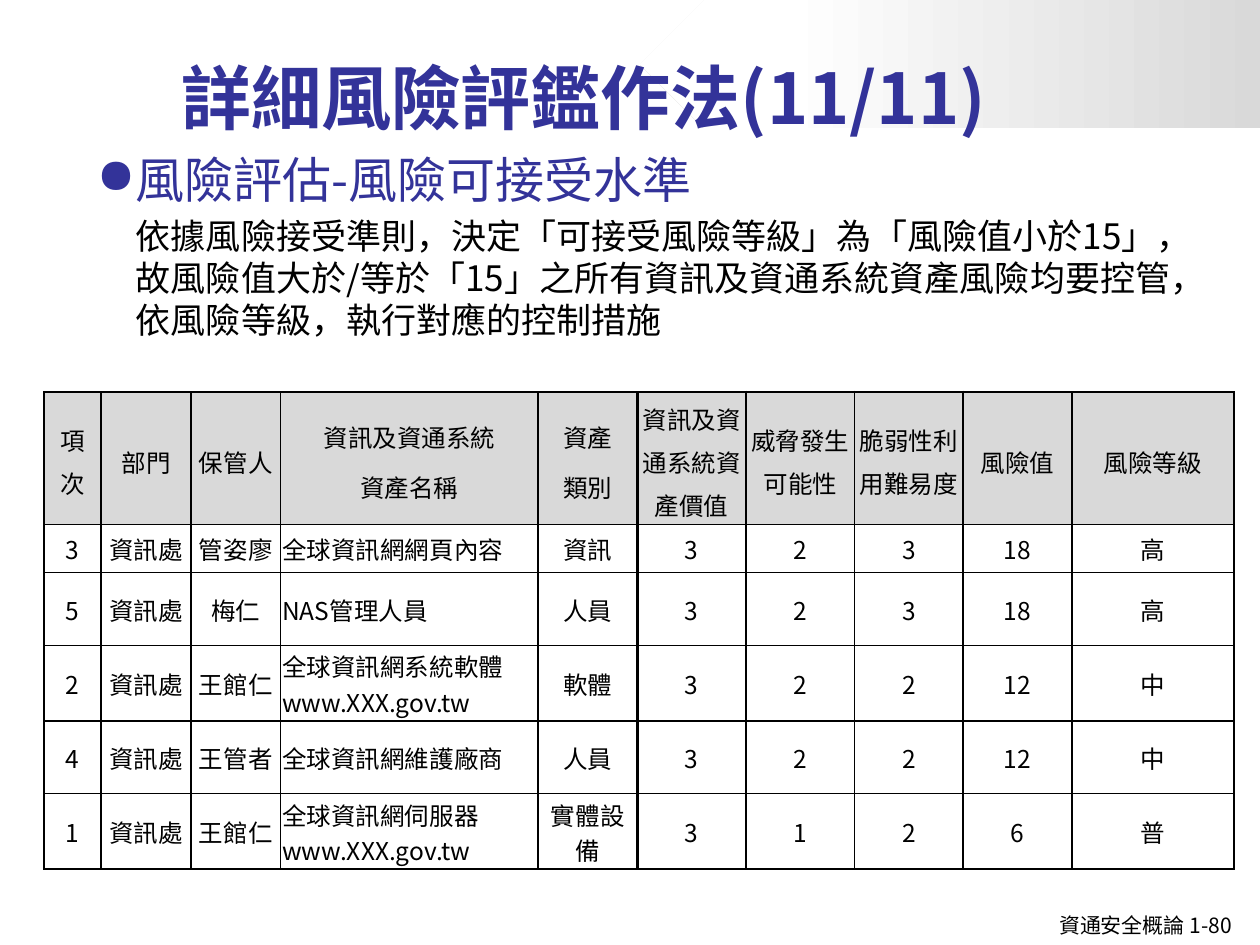
"""Build the slide on acceptable risk levels, with its risk assessment table."""
from lxml import etree
from pptx import Presentation
from pptx import util as u
from pptx.dml.color import RGBColor
from pptx.enum import shapes, text
from pptx.oxml.ns import qn

BLUE = RGBColor(0x33, 0x33, 0x99)
BLACK = RGBColor(0, 0, 0)
GREY = RGBColor(0xD9, 0xD9, 0xD9)
WHITE = RGBColor(0xFF, 0xFF, 0xFF)
SANS = "Noto Sans CJK SC"
HEADING = "Noto Sans CJK TC"
CENTER = text.PP_ALIGN.CENTER
MIDDLE = text.MSO_ANCHOR.MIDDLE


def write(para, words, size, color=BLACK, face=SANS, bold=False, **formats):
    for name, value in formats.items():
        setattr(para, name, value)
    span = para.add_run()
    span.text = words
    span.font.size = u.Pt(size)
    span.font.bold = bold
    span.font.color.rgb = color
    span.font.name = face
    etree.SubElement(span._r.get_or_add_rPr(), qn("a:ea"), typeface=face)


def draw_border(cell, side, points):
    properties = cell._tc.get_or_add_tcPr()
    line = etree.SubElement(properties, qn(f"a:ln{side}"), w=str(u.Pt(points)))
    fill = etree.SubElement(line, qn("a:solidFill"))
    etree.SubElement(fill, qn("a:srgbClr"), val=str(BLACK))


deck = Presentation()
deck.slide_width, deck.slide_height = u.Cm(25.4), u.Cm(19.05)
page = deck.slides.add_slide(deck.slide_layouts[5])

title = page.shapes.title
title_format = {"left": u.Cm(3.4), "top": u.Cm(0.33), "width": u.Cm(20.73), "height": u.Cm(2.59)}
for name, value in title_format.items():
    setattr(title, name, value)
title.text_frame.auto_size = text.MSO_AUTO_SIZE.NONE
title.text_frame.vertical_anchor = text.MSO_ANCHOR.BOTTOM
write(title.text_frame.paragraphs[0], "詳細風險評鑑作法(11/11)", 40, BLUE, HEADING, True,
      alignment=text.PP_ALIGN.LEFT)

plate = page.shapes.add_shape(shapes.MSO_SHAPE.PENTAGON, u.Cm(12.9), 0, u.Cm(12.5), u.Cm(2.59))
plate.shadow.inherit = False
plate.line.fill.background()
plate.fill.gradient()
plate.fill.gradient_angle = 0
for stop, color, position in zip(plate.fill.gradient_stops, (GREY, WHITE), (0, 0.77)):
    stop.color.rgb = color
    stop.position = position
plate.element.spPr.find(qn("a:xfrm")).set("flipH", "1")
title.element.addprevious(plate.element)

body = page.shapes.add_textbox(u.Cm(1.7), u.Cm(2.88), u.Cm(22.43), u.Cm(4.64)).text_frame
body.word_wrap = True
points = [
    ("風險評估-風險可接受水準", 28, BLUE, "●"),
    ("依據風險接受準則，決定「可接受風險等級」為「風險值小於15」，故風險值大於/等於「15」"
     "之所有資訊及資通系統資產風險均要控管，依風險等級，執行對應的控制措施", 20, BLACK, None),
]
for index, (words, size, color, bullet) in enumerate(points):
    para = body.add_paragraph() if index else body.paragraphs[0]
    properties = para._p.get_or_add_pPr()
    properties.set("marL", str(u.Cm(0.79)))
    properties.set("indent", str(-u.Cm(0.79) if bullet else 0))
    if bullet:
        etree.SubElement(properties, qn("a:buChar"), char=bullet)
    write(para, words, size, color, line_spacing=1.0,
          space_before=u.Pt(2 if index else 0), space_after=u.Pt(2))

headers = ["項次", "部門", "保管人", "資訊及資通系統\n資產名稱", "資產\n類別",
           "資訊及資通系統資產價值", "威脅發生可能性", "脆弱性利用難易度", "風險值", "風險等級"]
records = [
    ["3", "資訊處", "管姿廖", "全球資訊網網頁內容", "資訊", "3", "2", "3", "18", "高"],
    ["5", "資訊處", "梅仁", "NAS管理人員", "人員", "3", "2", "3", "18", "高"],
    ["2", "資訊處", "王館仁", "全球資訊網系統軟體www.XXX.gov.tw", "軟體", "3", "2", "2", "12", "中"],
    ["4", "資訊處", "王管者", "全球資訊網維護廠商", "人員", "3", "2", "2", "12", "中"],
    ["1", "資訊處", "王館仁", "全球資訊網伺服器www.XXX.gov.tw", "實體設備", "3", "1", "2", "6", "普"],
]
widths = [1.15, 1.81, 1.81, 5.19, 2] + [2.19] * 4 + [3.27]
heights = [2.67, 0.97, 1.47, 1.52, 1.47, 1.52]
name_column = 3
thick_edges = {5, 8, 9}
table = page.shapes.add_table(len(heights), len(widths), u.Cm(0.89), u.Cm(7.9),
                              u.Cm(sum(widths)), u.Cm(sum(heights))).table
table.first_row = table.horz_banding = False
for column, width in zip(table.columns, widths):
    column.width = u.Cm(width)
for row, height in zip(table.rows, heights):
    row.height = u.Cm(height)

for row_index, values in enumerate([headers] + records):
    is_header = row_index == 0
    side_margin = u.Cm(0.1 if is_header else 0.03)
    cell_format = {"vertical_anchor": MIDDLE, "margin_left": side_margin, "margin_right": side_margin,
                   "margin_top": u.Cm(0 if is_header else 0.03), "margin_bottom": 0}
    for column_index, words in enumerate(values):
        cell = table.cell(row_index, column_index)
        for name, value in cell_format.items():
            setattr(cell, name, value)
        borders = {"L": column_index in thick_edges, "R": column_index + 1 in thick_edges,
                   "T": is_header and 5 <= column_index <= 8, "B": False}
        for side, thick in borders.items():
            draw_border(cell, side, 1.5 if thick else 1)
        if is_header:
            cell.fill.solid()
            cell.fill.fore_color.rgb = GREY
        else:
            cell.fill.background()
        for index, line in enumerate(words.split("\n")):
            para = cell.text_frame.add_paragraph() if index else cell.text_frame.paragraphs[0]
            if is_header:
                write(para, line, 14, alignment=CENTER, line_spacing=1.2,
                      space_before=u.Pt(2 if index else 0), space_after=u.Pt(2))
            else:
                write(para, line, 14,
                      alignment=text.PP_ALIGN.LEFT if column_index == name_column else CENTER)

footer = page.shapes.add_textbox(u.Cm(21.1), u.Cm(18.28), u.Cm(4.3), u.Cm(0.77)).text_frame
footer.word_wrap = False
write(footer.paragraphs[0], "資通安全概論 1-80", 12)

deck.save("out.pptx")
